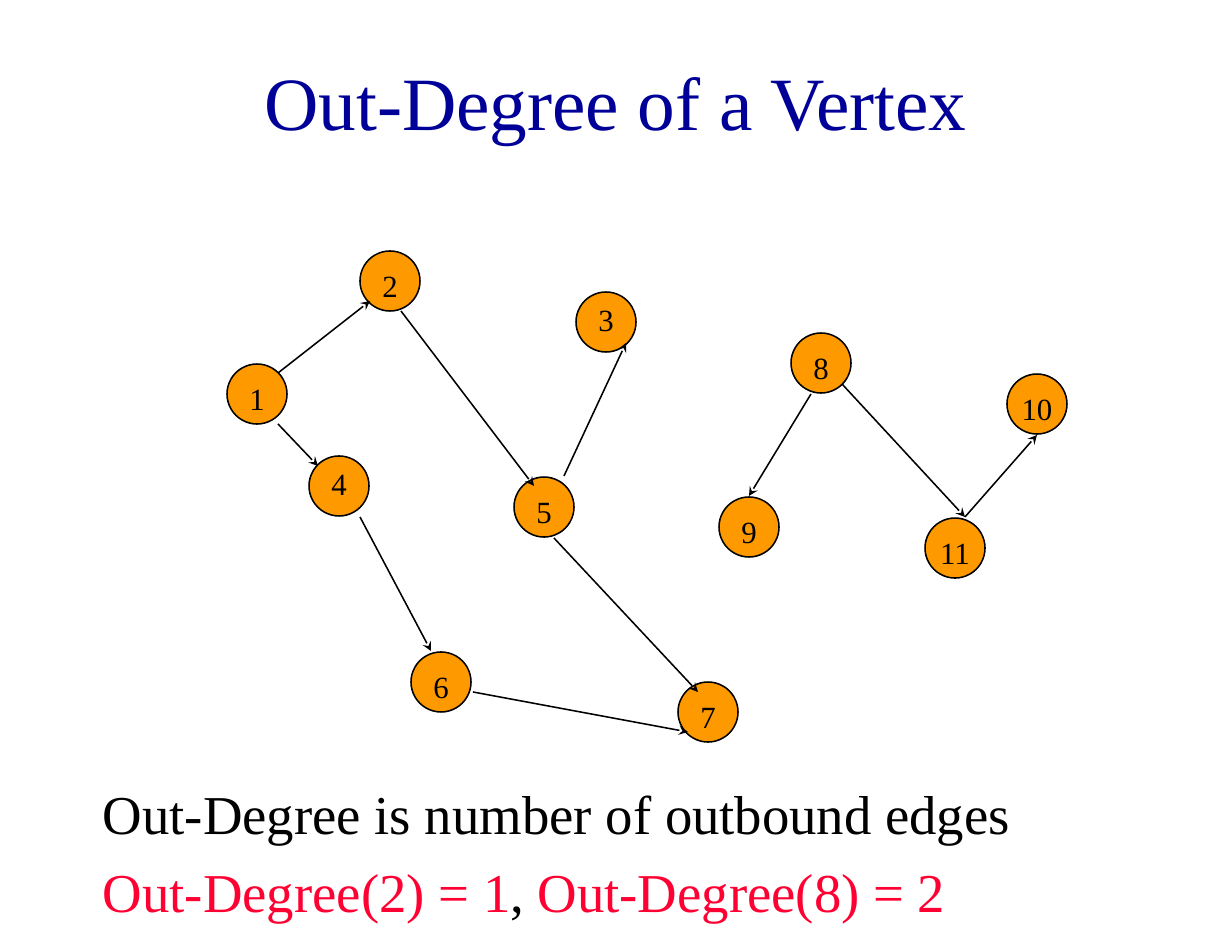
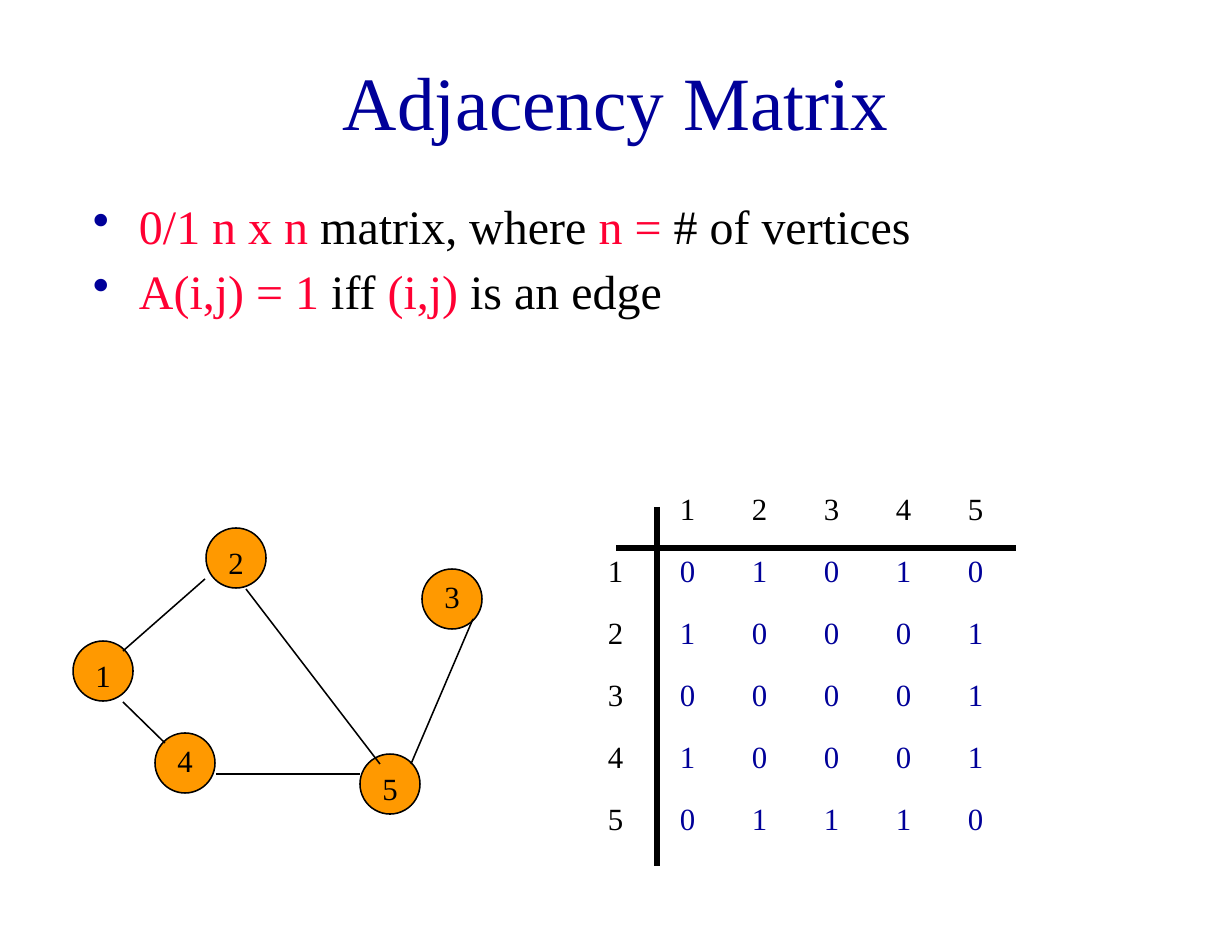
"""Build two slides on graphs: out-degree of a vertex and the adjacency matrix."""
from lxml.etree import SubElement
from pptx import Presentation
from pptx.dml.color import RGBColor
from pptx.enum.shapes import MSO_CONNECTOR, MSO_SHAPE
from pptx.enum.text import MSO_ANCHOR, MSO_AUTO_SIZE, PP_ALIGN
from pptx.oxml.ns import qn
from pptx.util import Pt

PX = 914400 / 112
FONT = "Times New Roman"
COLORS = {"title": "000099", "text": "000000", "accent": "FF0033", "node": "FF9900"}
NODE = 60
LABEL_SIZE = 19.8


def px(*lengths):
    return [round(n * PX) for n in lengths]


def style(r, size, color):
    r.font.name, r.font.size = FONT, Pt(size)
    r.font.color.rgb = RGBColor.from_string(COLORS[color])


nodes = {
    1: (227, 364), 2: (360, 251), 3: (576, 292), 4: (309, 456),
    5: (514, 477), 6: (411, 652), 7: (678, 682), 8: (791, 333),
    9: (719, 497), 10: (1007, 374), 11: (925, 518),
}
raised_labels = (3, 4)

slides = [
    {
        "title": "Out-Degree of a Vertex",
        "body": (92, 774, 1047, 143), "size": 35.2, "bullets": False,
        "lines": [
            [("Out-Degree is number of outbound edges", "text")],
            [("Out-Degree(2) = 1", "accent"), (", ", "text"),
             ("Out-Degree(8) = 2", "accent")],
        ],
        "nodes": range(1, 12), "shift": (0, 0), "directed": True,
        "edges": [
            (278, 373, 370, 301), (401, 311, 534, 486), (278, 424, 318, 466),
            (360, 517, 431, 651), (473, 692, 688, 732), (564, 476, 626, 343),
            (554, 538, 698, 692), (811, 394, 749, 496), (842, 384, 965, 517),
            (965, 517, 1037, 435),
        ],
    },
    {
        "title": "Adjacency Matrix",
        "body": (82, 198, 1047, 72), "size": 30.8, "bullets": True,
        "lines": [
            [("0/1 n x n ", "accent"), ("matrix, where ", "text"),
             ("n = ", "accent"), ("# of vertices", "text")],
            [("A(i,j) = 1", "accent"), (" iff ", "text"),
             ("(i,j)", "accent"), (" is an edge", "text")],
        ],
        "nodes": range(1, 6), "shift": (-154, 277), "directed": False,
        "edges": [
            (123, 651, 205, 579), (246, 589, 380, 764), (123, 702, 165, 743),
            (473, 619, 411, 764), (216, 774, 360, 774),
        ],
    },
]
matrix = ["01010", "10001", "00001", "10001", "01110"]
axes = [(616, 548, 1016, 548), (657, 507, 657, 866)]

prs = Presentation()
prs.slide_width, prs.slide_height = px(1232, 952)

for data in slides:
    s = prs.slides.add_slide(prs.slide_layouts[5])
    title = s.shapes.title
    title.left, title.top, title.width, title.height = px(92, 21, 1047, 159)
    tf = title.text_frame
    tf.text = data["title"]
    tf.auto_size = MSO_AUTO_SIZE.NONE
    tf.vertical_anchor = MSO_ANCHOR.MIDDLE
    tf.paragraphs[0].alignment = PP_ALIGN.CENTER
    style(tf.paragraphs[0].runs[0], 48.4, "title")

    tf = s.shapes.add_textbox(*px(*data["body"])).text_frame
    tf.word_wrap = True
    for i, line in enumerate(data["lines"]):
        p = tf.add_paragraph() if i else tf.paragraphs[0]
        p.space_before = Pt(8)
        for text, color in line:
            r = p.add_run()
            r.text = text
            style(r, data["size"], color)
        if data["bullets"]:
            p.line_spacing = 0.9
            pPr = p._p.get_or_add_pPr()
            indent = px(46)[0]
            pPr.set("marL", str(indent))
            pPr.set("indent", str(-indent))
            SubElement(SubElement(pPr, qn("a:buClr")), qn("a:srgbClr"), val=COLORS["title"])
            SubElement(pPr, qn("a:buChar"), char="•")

    dx, dy = data["shift"]
    for n in data["nodes"]:
        x, y = nodes[n]
        sp = s.shapes.add_shape(MSO_SHAPE.OVAL, *px(x + dx, y + dy, NODE, NODE))
        sp.shadow.inherit = False
        sp.fill.solid()
        sp.fill.fore_color.rgb = RGBColor.from_string(COLORS["node"])
        sp.line.color.rgb = RGBColor.from_string(COLORS["text"])
        sp.line.width = Pt(1)
        tf = sp.text_frame
        tf.text = str(n)
        tf.word_wrap = False
        tf.vertical_anchor = MSO_ANCHOR.TOP
        tf.margin_left = tf.margin_right = tf.margin_bottom = 0
        tf.margin_top = px(0 if n in raised_labels else 7)[0]
        p = tf.paragraphs[0]
        p.alignment = PP_ALIGN.CENTER
        style(p.runs[0], LABEL_SIZE, "text")

    strokes = [(edge, 1) for edge in data["edges"]]
    if not data["directed"]:
        size = len(matrix) + 1
        table = s.shapes.add_table(size, size, *px(596, 486, 72 * size, 62 * size)).table
        table.first_row = table.horz_banding = False
        header = [""] + [str(n) for n in data["nodes"]]
        rows = [header] + [[str(i), *row] for i, row in enumerate(matrix, 1)]
        for i, row in enumerate(rows):
            for j, value in enumerate(row):
                cell = table.cell(i, j)
                cell.fill.background()
                cell.margin_left = cell.margin_right = px(12)[0]
                cell.margin_top = cell.margin_bottom = px(7)[0]
                p = cell.text_frame.paragraphs[0]
                p.text = value
                for r in p.runs:
                    style(r, LABEL_SIZE, "title" if i and j else "text")
        strokes += [(axis, 4) for axis in axes]

    for ends, width in strokes:
        line = s.shapes.add_connector(MSO_CONNECTOR.STRAIGHT, *px(*ends))
        line.line.color.rgb = RGBColor.from_string(COLORS["text"])
        line.line.width = Pt(width)
        if data["directed"]:
            SubElement(line.line._get_or_add_ln(), qn("a:tailEnd"), type="stealth")
        SubElement(line._element.spPr, qn("a:effectLst"))

prs.save("out.pptx")
